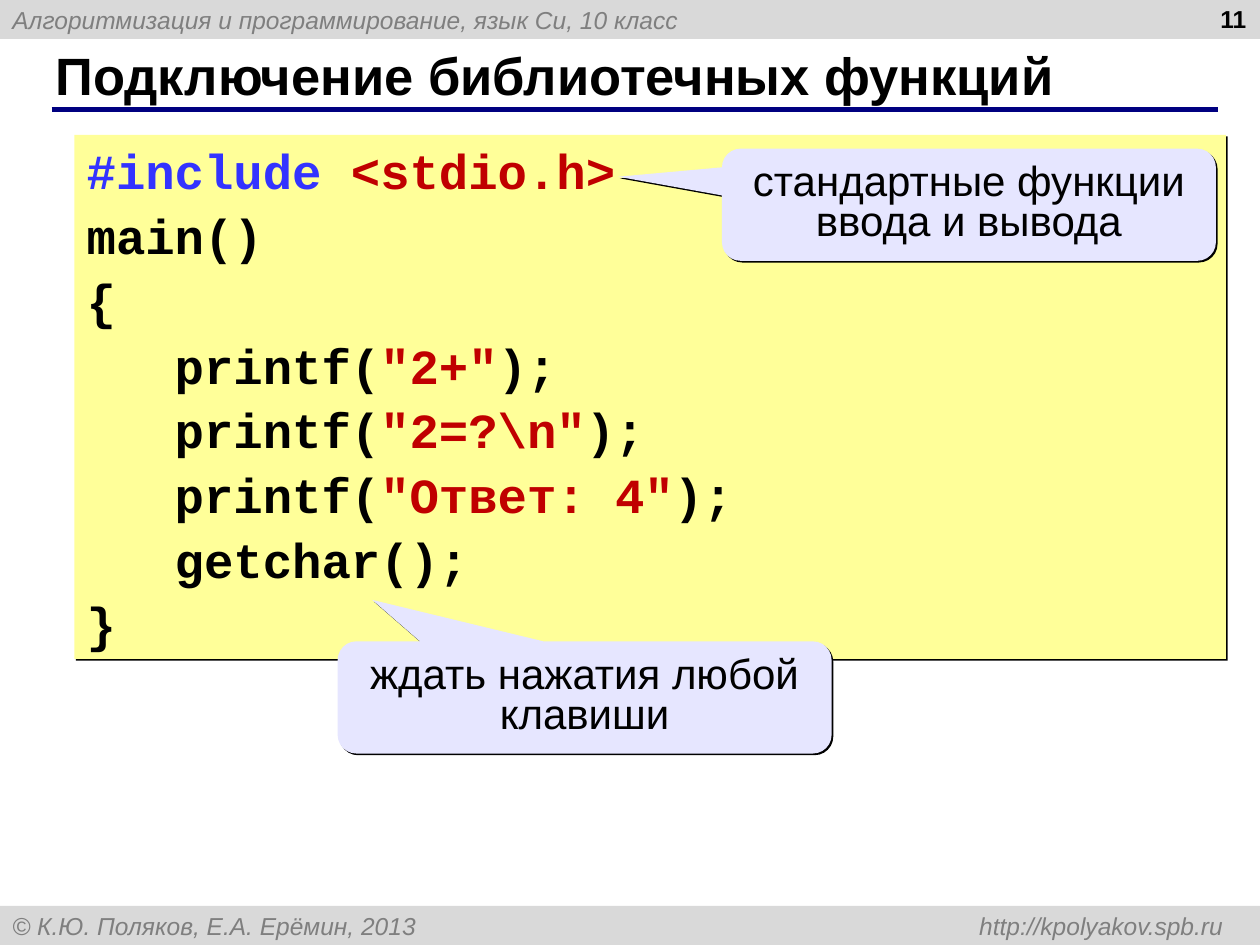
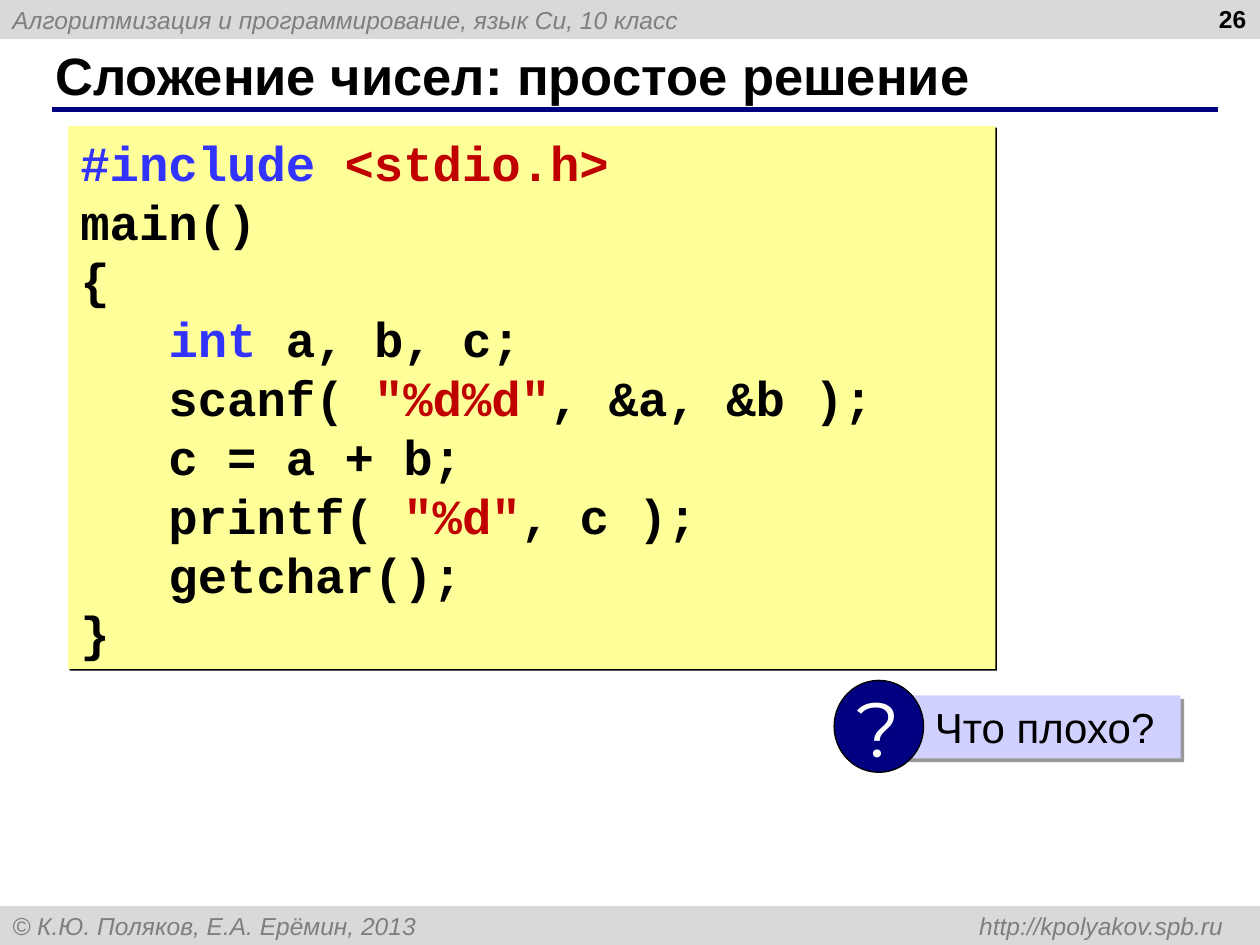
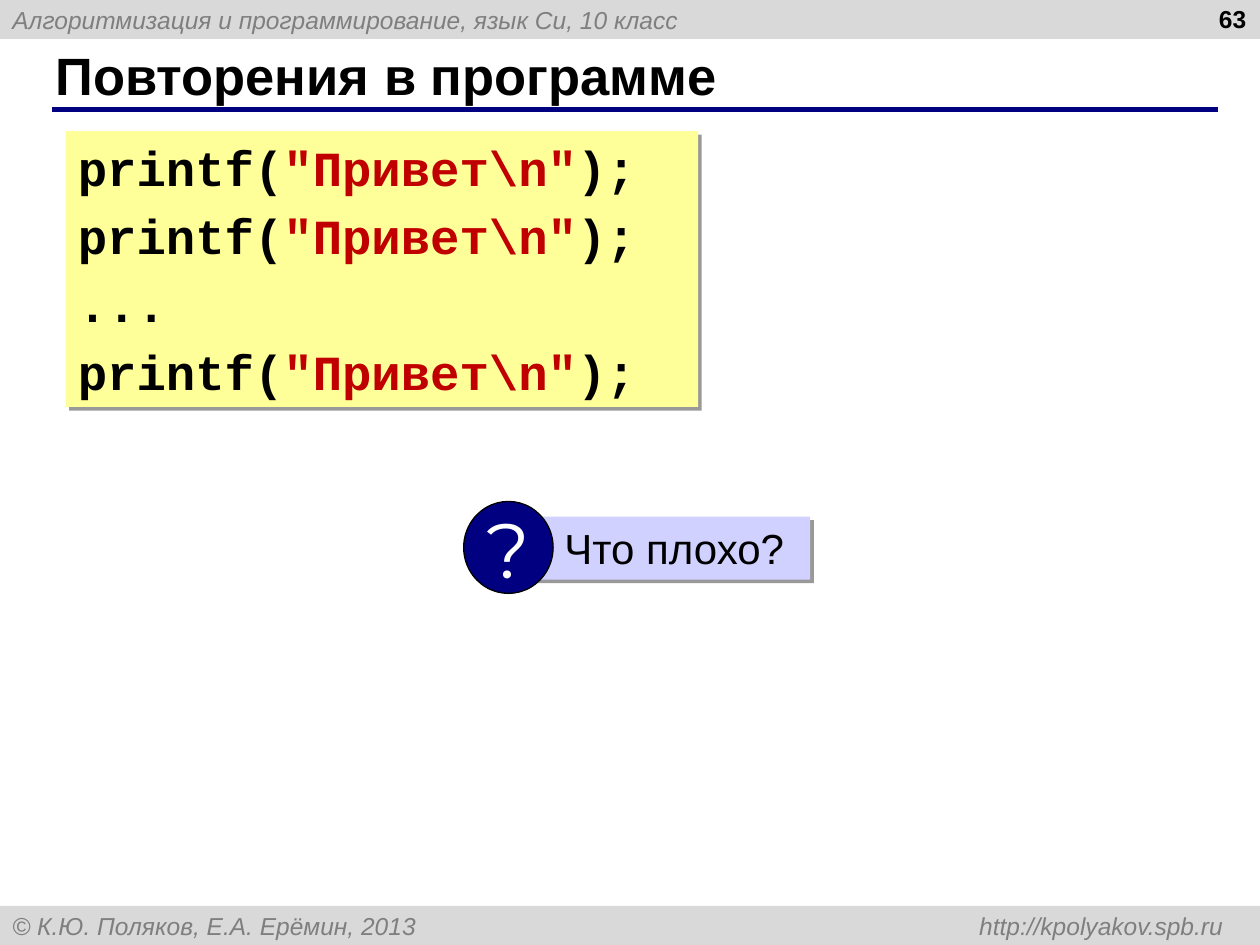
from dataclasses import dataclass
from typing import Iterator, Optional

from lxml.etree import SubElement
from pptx import Presentation
from pptx.dml.color import RGBColor
from pptx.enum.shapes import MSO_CONNECTOR, MSO_SHAPE
from pptx.enum.text import MSO_ANCHOR, MSO_AUTO_SIZE, PP_ALIGN
from pptx.oxml.ns import qn
from pptx.util import Inches, Pt


@dataclass(frozen=True)
class Theme:
    text_font: str = "Arial"
    code_font: str = "Courier New"
    sign_font: str = "Montserrat"
    black: str = "000000"
    white: str = "FFFFFF"
    band: str = "D9D9D9"
    band_text: str = "7F7F7F"
    navy: str = "000080"
    code_fill: str = "FFFF99"
    keyword: str = "3333FF"
    literal: str = "C00000"
    callout_fill: str = "E6E6FF"
    question_fill: str = "D1D1FF"
    title_size: int = 30
    code_size: int = 28
    note_size: int = 24
    band_size: int = 14
    sign_size: int = 44


@dataclass(frozen=True)
class Box:
    left: float
    top: float
    width: float
    height: float

    def lengths(self) -> tuple:
        return tuple(Inches(v) for v in (self.left, self.top, self.width, self.height))


@dataclass(frozen=True)
class Shadow:
    distance: float
    opacity: int


@dataclass(frozen=True)
class Code:
    box: Box
    source: str
    shadow: Shadow
    line_spacing: float = 1.0
    space_before: float = 0


@dataclass(frozen=True)
class Callout:
    box: Box
    text: str
    pointer: tuple[float, float]


@dataclass(frozen=True)
class Question:
    left: float
    top: float
    text: str = "Что плохо?"


@dataclass(frozen=True)
class Lesson:
    number: int
    title: str
    code: Code
    callouts: tuple[Callout, ...] = ()
    question: Optional[Question] = None


THEME = Theme()
HARD = Shadow(1.4, 100)
SOFT = Shadow(3, 40)
KEYWORDS = ("#include", "int")
WIDTH, HEIGHT, BAND_HEIGHT = 10, 7.5, 0.31
COURSE = "Алгоритмизация и программирование, язык Си, 10 класс"
COPYRIGHT = "© К.Ю. Поляков, Е.А. Ерёмин, 2013\thttp://kpolyakov.spb.ru"

LESSONS = (
    Lesson(
        11,
        "Подключение библиотечных функций",
        Code(
            Box(0.59, 1.07, 9.14, 4.16),
            r"""#include <stdio.h>
main()
{
   printf("2+");
   printf("2=?\n");
   printf("Ответ: 4");
   getchar();
}""",
            HARD,
            line_spacing=1.1,
        ),
        callouts=(
            Callout(Box(5.73, 1.18, 3.92, 0.89),
                    "стандартные функции ввода и вывода", (-0.71, -0.25)),
            Callout(Box(2.68, 5.09, 3.92, 0.89),
                    "ждать нажатия любой клавиши", (-0.43, -0.87)),
        ),
    ),
    Lesson(
        26,
        "Сложение чисел: простое решение",
        Code(
            Box(0.54, 1, 7.36, 4.31),
            r"""#include <stdio.h>
main()
{
   int a, b, c;
   scanf( "%d%d", &a, &b );
   c = a + b;
   printf( "%d", c );
   getchar();
}""",
            HARD,
        ),
        question=Question(6.62, 5.4),
    ),
    Lesson(
        63,
        "Повторения в программе",
        Code(
            Box(0.52, 1.04, 5.02, 2.19),
            r"""printf("Привет\n");
printf("Привет\n");
...
printf("Привет\n");""",
            SOFT,
            space_before=5.2,
        ),
        question=Question(3.68, 3.98),
    ),
)


def rgb(color: str) -> RGBColor:
    return RGBColor.from_string(color)


def style(paragraph, size: int, color: str = THEME.black, name: str = THEME.text_font,
          bold: bool = False, italic: bool = False) -> None:
    font = paragraph.font
    font.name, font.size, font.bold, font.italic = name, Pt(size), bold, italic
    font.color.rgb = rgb(color)


def add_panel(shapes, kind: MSO_SHAPE, box: Box, fill: str,
              shadow: Optional[Shadow] = None):
    """Add a filled, unlined shape with left-aligned wrapped text."""
    panel = shapes.add_shape(kind, *box.lengths())
    panel.fill.solid()
    panel.fill.fore_color.rgb = rgb(fill)
    panel.line.fill.background()
    panel.shadow.inherit = False
    if shadow:
        effects = panel._element.spPr.find(qn("a:effectLst"))
        outer = SubElement(effects, qn("a:outerShdw"), blurRad="0",
                           dist=str(Pt(shadow.distance)), dir="2700000",
                           algn="tl", rotWithShape="0")
        color = SubElement(outer, qn("a:srgbClr"), val=THEME.black)
        SubElement(color, qn("a:alpha"), val=str(shadow.opacity * 1000))
    panel.text_frame.word_wrap = True
    panel.text_frame.paragraphs[0].alignment = PP_ALIGN.LEFT
    return panel


def add_band(slide, top: float, text: str) -> None:
    band = add_panel(slide.shapes, MSO_SHAPE.RECTANGLE,
                     Box(0, top, WIDTH, BAND_HEIGHT), THEME.band)
    band.text_frame.vertical_anchor = MSO_ANCHOR.MIDDLE
    paragraph = band.text_frame.paragraphs[0]
    paragraph.text = text
    if "\t" in text:
        tabs = SubElement(paragraph._p.get_or_add_pPr(), qn("a:tabLst"))
        SubElement(tabs, qn("a:tab"), pos=str(Inches(9.61)), algn="r")
    style(paragraph, THEME.band_size, THEME.band_text, italic=True)


def add_frame(slide, lesson: Lesson) -> None:
    """Add the bands, title, rule and page number that every slide has."""
    add_band(slide, 0, COURSE)
    add_band(slide, HEIGHT - BAND_HEIGHT, COPYRIGHT)

    rule = slide.shapes.add_connector(MSO_CONNECTOR.STRAIGHT, Inches(0.41), Inches(0.87),
                                      Inches(9.67), Inches(0.87))
    rule.line.color.rgb = rgb(THEME.navy)
    rule.line.width = Pt(3)
    SubElement(rule._element.spPr, qn("a:effectLst"))

    title = slide.shapes.title
    title.left, title.top, title.width, title.height = Box(0.34, 0.33, 9.16, 0.52).lengths()
    title.text_frame.text = lesson.title
    title.text_frame.auto_size = MSO_AUTO_SIZE.NONE
    title.text_frame.vertical_anchor = MSO_ANCHOR.MIDDLE
    heading = title.text_frame.paragraphs[0]
    heading.alignment = PP_ALIGN.LEFT
    style(heading, THEME.title_size, bold=True)

    number = slide.shapes.add_textbox(*Box(7.66, -0.02, 2.33, 0.52).lengths())
    number.text_frame.word_wrap = True
    page = number.text_frame.paragraphs[0]
    page.text = str(lesson.number)
    page.alignment = PP_ALIGN.RIGHT
    style(page, THEME.band_size, bold=True)


def highlight(line: str) -> Iterator[tuple[str, str]]:
    """Split a line of C into pieces of text with their colours."""
    rest = line.lstrip()
    indent = line[:len(line) - len(rest)]
    word, space, tail = rest.partition(" ")
    if word in KEYWORDS:
        yield indent, THEME.black
        yield word + space, THEME.keyword
        yield tail, THEME.literal if word == "#include" else THEME.black
        return
    for index, piece in enumerate(line.split('"')):
        if index % 2:
            yield f'"{piece}"', THEME.literal
        else:
            yield piece, THEME.black


def add_code(slide, code: Code) -> None:
    frame = add_panel(slide.shapes, MSO_SHAPE.RECTANGLE, code.box,
                      THEME.code_fill, code.shadow).text_frame
    frame.vertical_anchor = MSO_ANCHOR.TOP
    for index, line in enumerate(code.source.splitlines()):
        paragraph = frame.add_paragraph() if index else frame.paragraphs[0]
        paragraph.alignment = PP_ALIGN.LEFT
        if index:
            paragraph.line_spacing = code.line_spacing
            paragraph.space_before = Pt(code.space_before)
        style(paragraph, THEME.code_size, name=THEME.code_font, bold=True)
        for text, color in highlight(line):
            if text:
                run = paragraph.add_run()
                run.text = text
                run.font.color.rgb = rgb(color)


def add_callout(slide, callout: Callout) -> None:
    bubble = add_panel(slide.shapes, MSO_SHAPE.ROUNDED_RECTANGULAR_CALLOUT, callout.box,
                       THEME.callout_fill, HARD)
    bubble.adjustments[0], bubble.adjustments[1] = callout.pointer
    bubble.text_frame.vertical_anchor = MSO_ANCHOR.MIDDLE
    paragraph = bubble.text_frame.paragraphs[0]
    paragraph.text = callout.text
    paragraph.alignment = PP_ALIGN.CENTER
    paragraph.line_spacing = 0.8
    style(paragraph, THEME.note_size)


def add_question(slide, question: Question) -> None:
    shapes = slide.shapes.add_group_shape().shapes
    label = add_panel(shapes, MSO_SHAPE.RECTANGLE,
                      Box(question.left + 0.51, question.top + 0.12, 2.24, 0.5),
                      THEME.question_fill, SOFT)
    label.text_frame.margin_left = Inches(0.29)
    label.text_frame.vertical_anchor = MSO_ANCHOR.TOP
    prompt = label.text_frame.paragraphs[0]
    prompt.text = question.text
    style(prompt, THEME.note_size)

    badge = add_panel(shapes, MSO_SHAPE.OVAL,
                      Box(question.left, question.top, 0.71, 0.73), THEME.navy)
    badge.line.color.rgb = rgb(THEME.black)
    badge.line.width = Pt(0.75)
    badge.text_frame.word_wrap = False
    badge.text_frame.vertical_anchor = MSO_ANCHOR.MIDDLE
    sign = badge.text_frame.paragraphs[0]
    sign.text = "?"
    sign.alignment = PP_ALIGN.CENTER
    style(sign, THEME.sign_size, THEME.white, THEME.sign_font)


def main() -> None:
    deck = Presentation()
    deck.slide_width, deck.slide_height = Inches(WIDTH), Inches(HEIGHT)
    title_only = deck.slide_layouts[5]
    for lesson in LESSONS:
        slide = deck.slides.add_slide(title_only)
        add_frame(slide, lesson)
        add_code(slide, lesson.code)
        for callout in lesson.callouts:
            add_callout(slide, callout)
        if lesson.question:
            add_question(slide, lesson.question)
    deck.save("out.pptx")


if __name__ == "__main__":
    main()
